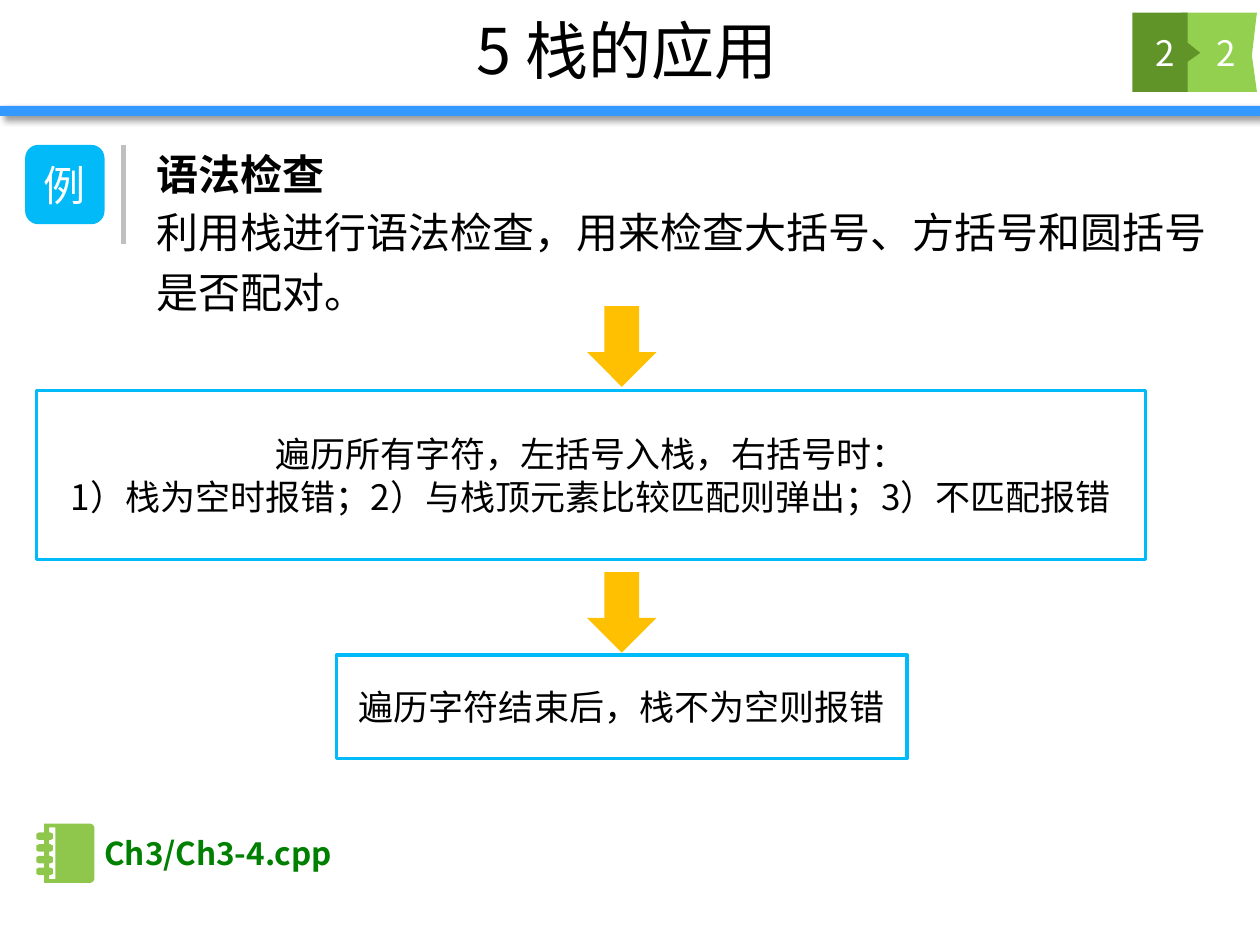
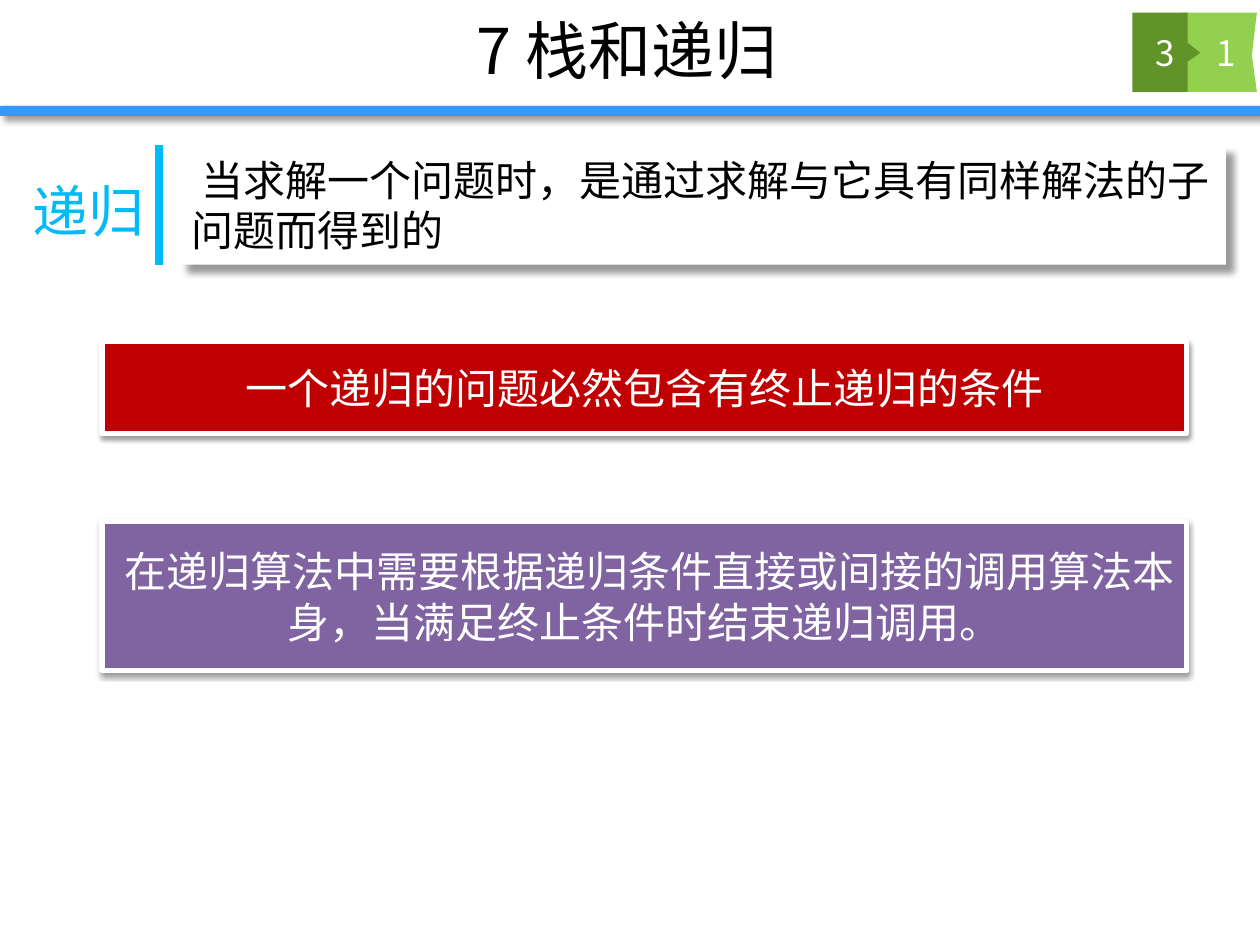
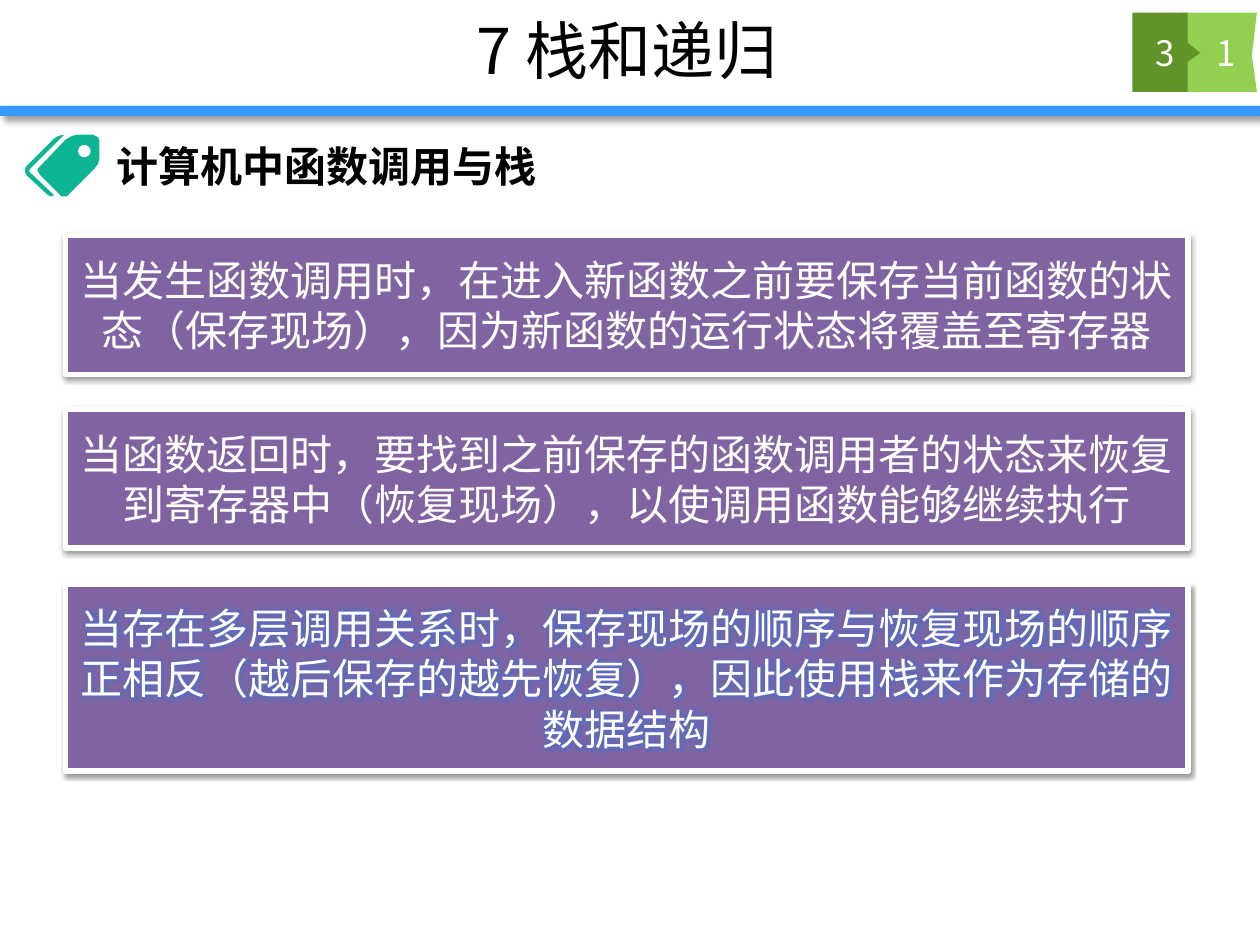
import math

from lxml import etree
from pptx import Presentation
from pptx.dml.color import RGBColor
from pptx.enum.shapes import MSO_CONNECTOR, MSO_SHAPE
from pptx.enum.text import MSO_ANCHOR, PP_ALIGN
from pptx.oxml import parse_xml
from pptx.oxml.ns import nsdecls, qn
from pptx.util import Inches, Pt

RECTANGLE = MSO_SHAPE.RECTANGLE
ROUNDED = MSO_SHAPE.ROUNDED_RECTANGLE
DOWN_ARROW = MSO_SHAPE.DOWN_ARROW
STRAIGHT = MSO_CONNECTOR.STRAIGHT
TOP, MIDDLE = MSO_ANCHOR.TOP, MSO_ANCHOR.MIDDLE
LEFT, CENTER = PP_ALIGN.LEFT, PP_ALIGN.CENTER

FONT = "Noto Sans CJK SC"
COLORS = {
    "black": "000000", "white": "FFFFFF", "band": "3399FF",
    "light green": "93D050", "dark green": "619428",
    "cyan": "02BAF8", "frame": "01BAF9", "gray": "BFBFBF",
    "orange": "FFC001", "notebook": "8FC74D", "file name": "008000",
    "red": "C00000", "purple": "8064A2", "tag": "0FB493", "glow": "2E75DC",
}
# Shadows: opacity in percent, blur and distance in points, direction in degrees
BAND_SHADOW = (40, 4, 3, 45)
DEFINITION_SHADOW = (40, 4, 6, 45)
CARD_SHADOW = (38, 3.1, 1.6, 90)

PLAIN = {"anchor": TOP, "align": LEFT, "color": "black"}
FRAME = {"fill": "white", "line": "frame", "width": 2, "color": "black", "size": 20}
CARD = {"fill": "purple", "line": "white", "width": 3, "shadow": CARD_SHADOW}


def add_box(slide, at, text="", kind=RECTANGLE, fill=None, line=None, width=1,
            shadow=None, anchor=MIDDLE, align=CENTER, color="white", size=24,
            bold=False, wrap=True, spacing=1.0, indent=0, glow=False):
    """Add a preset shape, or a text box when it has neither fill nor line."""
    place = [Inches(length) for length in at]
    if fill:
        shape = slide.shapes.add_shape(kind, *place)
        shape.fill.solid()
        shape.fill.fore_color.rgb = RGBColor.from_string(COLORS[fill])
        shape.shadow.inherit = False
        if line:
            shape.line.color.rgb = RGBColor.from_string(COLORS[line])
            shape.line.width = Pt(width)
        else:
            shape.line.fill.background()
    else:
        shape = slide.shapes.add_textbox(*place)
    if shadow:
        opacity, blur, distance, direction = shadow
        shape._element.spPr.find(qn("a:effectLst")).append(parse_xml(
            f'<a:outerShdw {nsdecls("a")} blurRad="{Pt(blur)}" dist="{Pt(distance)}" '
            f'dir="{direction * 60000}" algn="ctr" rotWithShape="0">'
            f'<a:srgbClr val="{COLORS["black"]}"><a:alpha val="{opacity * 1000}"/>'
            '</a:srgbClr></a:outerShdw>'))
    if not text:
        return
    frame = shape.text_frame
    frame.word_wrap = wrap
    frame.vertical_anchor = anchor
    frame.text = text
    for paragraph in frame.paragraphs:
        paragraph.alignment = align
        paragraph.line_spacing = spacing
        if indent:
            paragraph._p.get_or_add_pPr().set("indent", str(Inches(indent)))
        for run in paragraph.runs:
            run.font.color.rgb = RGBColor.from_string(COLORS[color])
            properties = run._r.get_or_add_rPr()
            if glow:
                properties.append(parse_xml(
                    f'<a:effectLst {nsdecls("a")}><a:glow rad="{Pt(8)}">'
                    f'<a:srgbClr val="{COLORS["glow"]}"><a:alpha val="40000"/>'
                    '</a:srgbClr></a:glow></a:effectLst>'))
            for name, value in {"name": FONT, "size": Pt(size), "bold": bold}.items():
                setattr(run.font, name, value)
            etree.SubElement(properties, qn("a:ea")).set("typeface", FONT)


def add_outline(slide, contours, fill):
    """Add one freeform from closed contours whose points are in inches."""
    contours = [[(round(x * 1000), round(y * 1000)) for x, y in contour]
                for contour in contours]
    builder = slide.shapes.build_freeform(*contours[0][0], scale=Inches(0.001))
    for number, contour in enumerate(contours):
        if number:
            builder.move_to(*contour[0])
        builder.add_line_segments(contour[1:], close=True)
    shape = builder.convert_to_shape()
    shape.fill.solid()
    shape.fill.fore_color.rgb = RGBColor.from_string(COLORS[fill])
    shape.line.fill.background()
    shape.shadow.inherit = False


presentation = Presentation()
presentation.slide_width = Inches(10)
presentation.slide_height = Inches(7.5)

# Band, badge and title of every slide
section_ribbon = [(9.38, 0.1), (9.98, 0.1), (9.94, 0.44), (9.98, 0.73), (9.38, 0.73)]
chapter_ribbon = [(8.99, 0.1), (9.43, 0.1), (9.43, 0.34), (9.53, 0.42),
                  (9.43, 0.49), (9.43, 0.73), (8.99, 0.73)]
slides = []
for title, chapter, section in (("5 栈的应用", "2", "2"),
                                ("7 栈和递归", "3", "1"),
                                ("7 栈和递归", "3", "1")):
    slide = presentation.slides.add_slide(presentation.slide_layouts[6])
    add_box(slide, (0, 0.84, 10, 0.08), fill="band", shadow=BAND_SHADOW)
    add_outline(slide, [section_ribbon], "light green")
    add_outline(slide, [chapter_ribbon], "dark green")
    add_box(slide, (0.98, 0.01, 7.99, 0.77), title, color="black", size=36)
    add_box(slide, (9.42, 0.1, 0.62, 0.63), section, size=20)
    add_box(slide, (8.94, 0.1, 0.62, 0.63), chapter, size=20)
    slides.append(slide)
syntax_slide, recursion_slide, calls_slide = slides

# Vertical rules beside the lead texts
for slide, x, bottom, color, width in ((syntax_slide, 0.98, 1.94, "gray", 3),
                                       (recursion_slide, 1.26, 2.1, "cyan", 4.5)):
    rule = slide.shapes.add_connector(
        STRAIGHT, Inches(x), Inches(1.15), Inches(x), Inches(bottom))
    rule.line.color.rgb = RGBColor.from_string(COLORS[color])
    rule.line.width = Pt(width)
    etree.SubElement(rule._element.spPr, qn("a:effectLst"))

# Slide 1: syntax check
add_box(syntax_slide, (0.2, 1.15, 0.63, 0.63), "例", kind=ROUNDED, fill="cyan")
add_box(syntax_slide, (1.14, 1.05, 8.82, 0.54), "语法检查",
        bold=True, spacing=1.2, **PLAIN)
add_box(syntax_slide, (1.14, 1.51, 8.82, 1.03),
        "利用栈进行语法检查，用来检查大括号、方括号和圆括号是否配对。",
        spacing=1.2, **PLAIN)
add_box(syntax_slide, (0.29, 3.1, 8.8, 1.34),
        "遍历所有字符，左括号入栈，右括号时：\n"
        "1）栈为空时报错；2）与栈顶元素比较匹配则弹出；3）不匹配报错", **FRAME)
add_box(syntax_slide, (2.67, 5.2, 4.53, 0.82), "遍历字符结束后，栈不为空则报错", **FRAME)
for top in (2.43, 4.54):
    add_box(syntax_slide, (4.66, top, 0.55, 0.64), kind=DOWN_ARROW, fill="orange")

# Notebook icon: four rings stick out of the cover and into its slot
cover = [(0.72, 6.54), (0.35, 6.54)]
slot = [(0.44, 6.57), (0.39, 6.57)]
for ring in range(4):
    top = 6.61 + 0.093 * ring
    bottom = top + 0.06
    cover += [(0.35, top), (0.31, top), (0.29, top + 0.01),
              (0.29, bottom - 0.01), (0.31, bottom), (0.35, bottom)]
    slot += [(0.39, top), (0.4, top), (0.42, top + 0.01),
             (0.42, bottom - 0.01), (0.4, bottom), (0.39, bottom)]
cover += [(0.35, 7.01), (0.72, 7.01), (0.74, 7), (0.75, 6.98), (0.75, 6.57), (0.74, 6.55)]
slot += [(0.39, 6.98), (0.44, 6.98)]
add_outline(syntax_slide, [cover, slot], "notebook")
add_box(syntax_slide, (0.73, 6.57, 2.1, 0.4), "Ch3/Ch3-4.cpp", anchor=TOP, align=LEFT,
        color="file name", size=18, bold=True, wrap=False)

# Slide 2: recursion
add_box(recursion_slide, (0.16, 1.35, 1.1, 0.64), "递归",
        anchor=TOP, align=LEFT, color="cyan", size=32)
add_box(recursion_slide, (1.42, 1.15, 8.31, 0.95),
        "当求解一个问题时，是通过求解与它具有同样解法的子问题而得到的",
        fill="white", shadow=DEFINITION_SHADOW, align=LEFT, color="black", indent=0.08)
add_box(recursion_slide, (0.81, 2.71, 8.61, 0.73),
        "一个递归的问题必然包含有终止递归的条件", **{**CARD, "fill": "red"})
add_box(recursion_slide, (0.81, 4.14, 8.61, 1.18),
        "在递归算法中需要根据递归条件直接或间接的调用算法本身，当满足终止条件时结束递归调用。",
        indent=0.08, **CARD)

# Slide 3: function calls and the stack
front_tag = [(0.74, 1.07), (0.61, 1.07), (0.57, 1.08), (0.52, 1.11), (0.32, 1.32),
             (0.3, 1.34), (0.3, 1.36), (0.32, 1.39), (0.47, 1.54), (0.49, 1.56),
             (0.53, 1.56), (0.55, 1.54), (0.75, 1.34), (0.78, 1.3), (0.79, 1.25),
             (0.79, 1.12), (0.78, 1.09), (0.76, 1.08)]
back_tag = [(0.24, 1.37), (0.43, 1.55), (0.4, 1.56), (0.37, 1.54), (0.21, 1.39),
            (0.2, 1.37), (0.2, 1.34), (0.21, 1.32), (0.42, 1.11), (0.46, 1.08),
            (0.51, 1.07), (0.24, 1.34), (0.23, 1.36)]
tag_hole = [(0.67 + 0.05 * math.cos(math.radians(angle)),
             1.2 + 0.05 * math.sin(math.radians(angle))) for angle in range(0, 360, 15)]
add_outline(calls_slide, [front_tag, tag_hole, back_tag], "tag")
add_box(calls_slide, (0.83, 1.07, 3.57, 0.5), "计算机中函数调用与栈",
        bold=True, wrap=False, **PLAIN)
for top, height, glow, text in (
        (1.87, 1.1, False,
         "当发生函数调用时，在进入新函数之前要保存当前函数的状态（保存现场），因为新函数的运行状态将覆盖至寄存器"),
        (3.25, 1.1, False,
         "当函数返回时，要找到之前保存的函数调用者的状态来恢复到寄存器中（恢复现场），以使调用函数能够继续执行"),
        (4.64, 1.48, True,
         "当存在多层调用关系时，保存现场的顺序与恢复现场的顺序正相反（越后保存的越先恢复），因此使用栈来作为存储的数据结构")):
    add_box(calls_slide, (0.52, top, 8.91, height), text, glow=glow, **CARD)

presentation.save("out.pptx")
